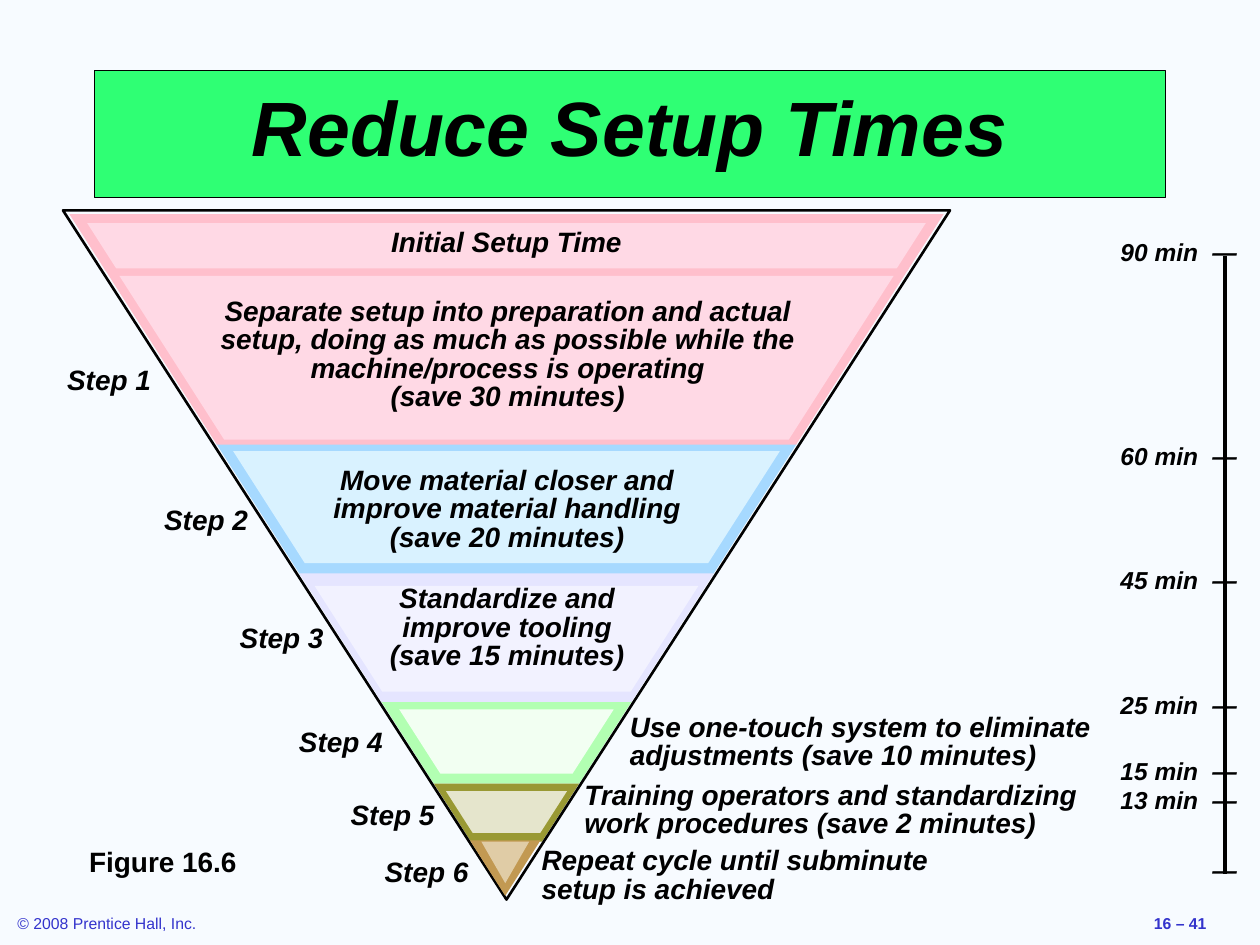
"""Build the "Reduce Setup Times" funnel slide on a 100 by 75 grid."""
from lxml import etree
from pptx import Presentation
from pptx.dml.color import RGBColor
from pptx.enum.shapes import MSO_CONNECTOR, MSO_SHAPE
from pptx.enum.text import MSO_ANCHOR, MSO_AUTO_SIZE, PP_ALIGN
from pptx.oxml.ns import qn
from pptx.util import Inches, Pt

RECTANGLE, TRIANGLE = MSO_SHAPE.RECTANGLE, MSO_SHAPE.ISOSCELES_TRIANGLE
LEFT, CENTER, RIGHT = PP_ALIGN.LEFT, PP_ALIGN.CENTER, PP_ALIGN.RIGHT
MIDDLE = MSO_ANCHOR.MIDDLE
FIT, NO_FIT = MSO_AUTO_SIZE.SHAPE_TO_FIT_TEXT, MSO_AUTO_SIZE.NONE
STRAIGHT = MSO_CONNECTOR.STRAIGHT

COLUMNS, ROWS = 100, 75
CELL = Inches(0.1)
FONT = "Arial"

BACKGROUND = RGBColor(0xF7, 0xFB, 0xFF)
INK = RGBColor(0x00, 0x00, 0x00)
FOOTER_BLUE = RGBColor(0x33, 0x33, 0xCC)
TITLE_GREEN = RGBColor(0x2F, 0xFF, 0x74)
PINK, PALE_PINK = RGBColor(0xFF, 0xBF, 0xCC), RGBColor(0xFF, 0xD9, 0xE5)
BLUE, PALE_BLUE = RGBColor(0xA6, 0xD9, 0xFF), RGBColor(0xD9, 0xF2, 0xFF)
LILAC, PALE_LILAC = RGBColor(0xE5, 0xE5, 0xFF), RGBColor(0xF2, 0xF2, 0xFF)
GREEN, PALE_GREEN = RGBColor(0xB2, 0xFF, 0xB2), RGBColor(0xF2, 0xFF, 0xF2)
OLIVE, PALE_OLIVE = RGBColor(0x99, 0x99, 0x33), RGBColor(0xE5, 0xE5, 0xCC)
TAN, PALE_TAN = RGBColor(0xC2, 0x99, 0x52), RGBColor(0xE0, 0xCC, 0xA6)

FUNNEL_AXIS = 40.2
FUNNEL_SLOPE = 0.64
FUNNEL_APEX = 71.2

LOWER_BANDS = [
    ((55.6, 62.2, FUNNEL_APEX, GREEN), (56.3, 61.4, 69.6, PALE_GREEN)),
    ((62.2, 66.8, FUNNEL_APEX, OLIVE), (62.8, 66.1, 70.3, PALE_OLIVE)),
]
UPPER_BANDS = [
    ((17, 21.5, FUNNEL_APEX, PINK), (17.7, 21.5, 69.7, PALE_PINK)),
    ((35.2, 45.7, FUNNEL_APEX, BLUE), (35.8, 44.7, 69.7, PALE_BLUE)),
    ((21.3, 35.3, FUNNEL_APEX, PINK), (21.9, 34.9, 69.9, PALE_PINK)),
    ((45.5, 55.7, FUNNEL_APEX, LILAC), (46.5, 54.9, 70.3, PALE_LILAC)),
]

STEP_LABELS = [(4.2, 28.7), (11.9, 39.8), (17.9, 49.2), (22.6, 57.4), (26.7, 63.2), (29.4, 67.7)]

BAND_TEXTS = [
    (14, 23.2, 52.6, 10.2, [
        "Separate setup into preparation and actual setup, doing as much as "
        "possible while the machine/process is operating",
        "(save 30 minutes)"]),
    (24.1, 36.6, 32.3, 7.9, [
        "Move material closer and improve material handling (save 20 minutes)"]),
    (28.1, 46, 24.3, 7.9, ["Standardize and improve tooling (save 15 minutes)"]),
]
SIDE_TEXTS = [
    (49, 56.2, 39.3, "Use one-touch system to eliminate adjustments (save 10 minutes)"),
    (45.4, 61.6, 41.3, "Training operators and standardizing work procedures (save 2 minutes)"),
    (42, 66.8, 32.9, "Repeat cycle until subminute setup is achieved"),
]
TIME_MARKS = [(90, 18.7), (60, 34.9), (45, 44.7), (25, 54.6), (15, 59.9), (13, 62.2)]
SCALE_END = 67.7


def cells(*counts):
    """Turn grid counts into slide lengths."""
    return [int(count * CELL) for count in counts]


def write(frame, paragraphs, size, color=INK, bold=True, italic=True,
          align=LEFT, spacing=0.85):
    """Fill a text frame, one run to each paragraph."""
    for index, wording in enumerate(paragraphs):
        paragraph = frame.add_paragraph() if index else frame.paragraphs[0]
        paragraph.alignment = align
        paragraph.line_spacing = spacing
        run = paragraph.add_run()
        run.text = wording
        run.font.name = FONT
        run.font.size = Pt(size)
        run.font.bold = bold
        run.font.italic = italic
        run.font.color.rgb = color


def add_label(slide, place, paragraphs, size=16, wrap=False, inset=1.1, **style):
    """Place a text box on the grid."""
    frame = slide.shapes.add_textbox(*cells(*place)).text_frame
    frame.word_wrap = wrap
    frame.auto_size = FIT
    frame.margin_left = frame.margin_right = cells(inset)[0]
    write(frame, paragraphs, size, **style)


def paint(shape, fill=None, line_width=None):
    """Give a shape a flat fill and an optional black line."""
    shape.shadow.inherit = False
    if fill is None:
        shape.fill.background()
    else:
        shape.fill.solid()
        shape.fill.fore_color.rgb = fill
    if line_width is None:
        shape.line.fill.background()
    else:
        shape.line.color.rgb = INK
        shape.line.width = Pt(line_width)


def add_title(slide, wording):
    """Draw the title banner."""
    banner = slide.shapes.add_shape(RECTANGLE, *cells(7.5, 5.6, 85, 10.1))
    paint(banner, TITLE_GREEN, 0.75)
    frame = banner.text_frame
    frame.word_wrap = True
    frame.auto_size = NO_FIT
    frame.vertical_anchor = MIDDLE
    write(frame, [wording], 44, align=CENTER, spacing=0.8)


def add_trapezoid(slide, top, bottom, apex, color):
    """Draw a slice of the funnel whose sides run towards the apex."""
    upper, lower = [(apex - row) * FUNNEL_SLOPE for row in (top, bottom)]
    corners = [(FUNNEL_AXIS - upper, top), (FUNNEL_AXIS - lower, bottom),
               (FUNNEL_AXIS + lower, bottom), (FUNNEL_AXIS + upper, top)]
    points = [cells(*corner) for corner in corners]
    outline = slide.shapes.build_freeform(*points[0])
    outline.add_line_segments(points[1:], close=True)
    paint(outline.convert_to_shape(), color)


def add_bands(slide, bands):
    """Draw the rim and the panel of each funnel band."""
    for rim, panel in bands:
        add_trapezoid(slide, *rim)
        add_trapezoid(slide, *panel)


def add_point_down(slide, place, fill=None, line_width=None):
    """Draw a triangle that points down."""
    triangle = slide.shapes.add_shape(TRIANGLE, *cells(*place))
    triangle._element.spPr.xfrm.set("flipV", "1")
    paint(triangle, fill, line_width)


def add_tick(slide, row):
    """Put a dash across the time scale."""
    add_label(slide, (94.9, row, 4.6, 3.1), ["—"], 14, align=CENTER)


def add_time_scale(slide):
    """Draw the vertical scale of setup minutes."""
    scale = slide.shapes.add_connector(STRAIGHT, *cells(97.2, 20.3, 97.2, 69.4))
    scale.line.color.rgb = INK
    scale.line.width = Pt(2.25)
    etree.SubElement(scale._element.spPr, qn("a:effectLst"))
    for minutes, row in TIME_MARKS:
        add_label(slide, (86.2, row, 10, 3.1), [f"{minutes} min"], 14, wrap=True, align=RIGHT)
        add_tick(slide, row)
    add_tick(slide, SCALE_END)


def main():
    """Build and save the slide."""
    deck = Presentation()
    deck.slide_width, deck.slide_height = cells(COLUMNS, ROWS)
    slide = deck.slides.add_slide(deck.slide_layouts[6])
    slide.background.fill.solid()
    slide.background.fill.fore_color.rgb = BACKGROUND

    plain = {"italic": False, "spacing": 1, "inset": 1}
    add_label(slide, (0.4, 72, 16.2, 2.5), ["© 2008 Prentice Hall, Inc."], 9,
              color=FOOTER_BLUE, bold=False, **plain)
    add_label(slide, (90.6, 72, 9.4, 2.5), ["16 – 41"], 9, color=FOOTER_BLUE, **plain)
    add_title(slide, "Reduce Setup Times")
    add_label(slide, (6.1, 66.5, 13.7, 3.7), ["Figure 16.6"], **plain)

    add_bands(slide, LOWER_BANDS)
    add_point_down(slide, (5, 16.7, 70.4, 54.7), line_width=1.5)
    add_bands(slide, UPPER_BANDS)
    add_point_down(slide, (37.3, 66.7, 5.6, 4.4), TAN)
    add_point_down(slide, (38.2, 66.8, 3.8, 3.3), PALE_TAN)

    add_label(slide, (28.2, 17.7, 24, 3.4), ["Initial Setup Time"], align=CENTER)
    for left, top, width, height, paragraphs in BAND_TEXTS:
        add_label(slide, (left, top, width, height), paragraphs, wrap=True, align=CENTER)
    for left, top, width, wording in SIDE_TEXTS:
        add_label(slide, (left, top, width, 5.6), [wording], wrap=True, inset=1)
    for number, (left, top) in enumerate(STEP_LABELS, start=1):
        add_label(slide, (left, top, 8.9, 3.4), [f"Step {number}"], align=CENTER)
    add_time_scale(slide)
    deck.save("out.pptx")


if __name__ == "__main__":
    main()
